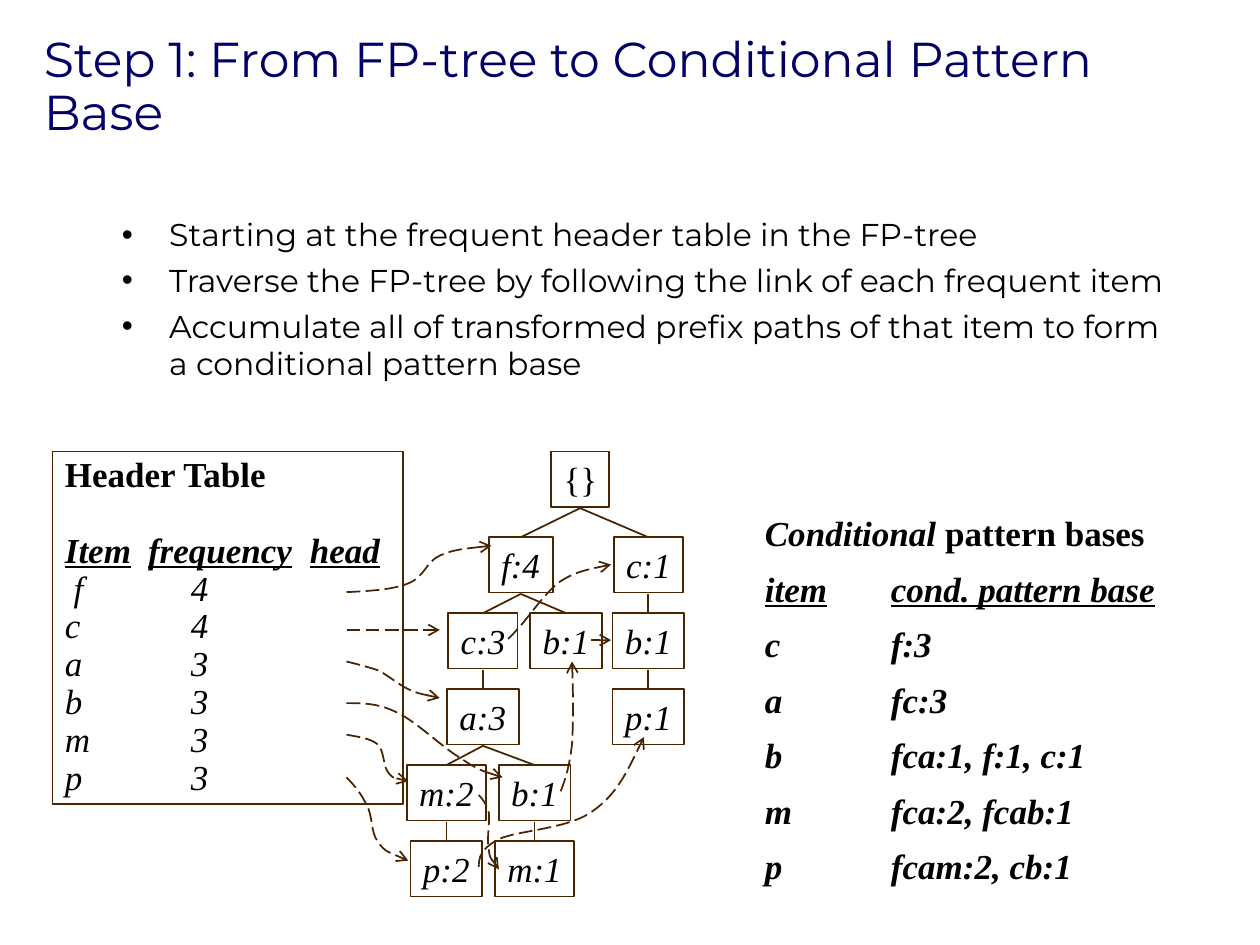
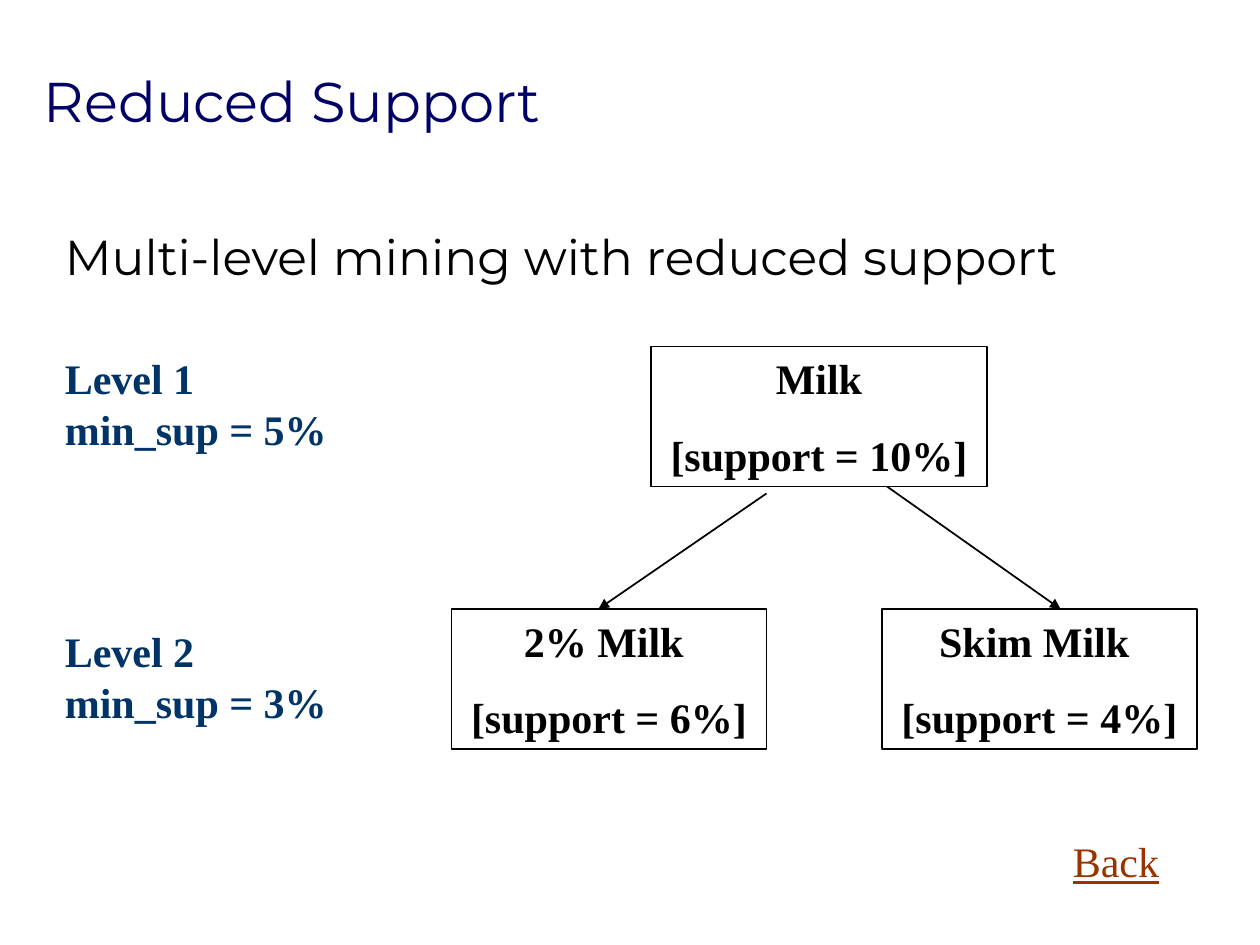
import pptx
import pptx.dml.color
import pptx.enum.dml
import pptx.enum.shapes
import pptx.enum.text
import pptx.oxml.xmlchemy
import pptx.util

Pt = pptx.util.Pt
RGBColor = pptx.dml.color.RGBColor
ALIGN = pptx.enum.text.PP_ALIGN
ANCHOR = pptx.enum.text.MSO_ANCHOR
OxmlElement = pptx.oxml.xmlchemy.OxmlElement

NAVY = RGBColor(0x00, 0x00, 0x66)
BLACK = RGBColor(0x00, 0x00, 0x00)
WHITE = RGBColor(0xFF, 0xFF, 0xFF)
BROWN = RGBColor(0x48, 0x24, 0x00)
LEVEL_BLUE = RGBColor(0x00, 0x33, 0x66)
LINK_RUST = RGBColor(0x99, 0x33, 0x00)

SANS = "Montserrat"
SERIF = "Times New Roman"
TREE_TEXT = {"name": SERIF, "size": Pt(20), "italic": True}
LEVEL_TEXT = {"name": SERIF, "size": Pt(24), "bold": True}

COLUMN_TAB = 72
NODE_HEIGHT = 31.7
NODE_WIDTHS = {"{": 33, "f": 36.7, "c": 39.6, "a": 41, "b": 41, "p": 41, "m": 45.4}
ROW_TOPS = [0] + [49 + 43.4 * row for row in range(5)]

TREE_NODES = {
    "root": ("{}", 133.5, 0), "f": ("f:4", 99.6, 1), "c right": ("c:1", 172.5, 1),
    "c": ("c:3", 78, 2), "b": ("b:1", 125.5, 2), "b right": ("b:1", 172.5, 2),
    "a": ("a:3", 78, 3), "p right": ("p:1", 172.5, 3),
    "m": ("m:2", 57.1, 4), "b low": ("b:1", 107.5, 4),
    "p": ("p:2", 57.1, 5), "m low": ("m:1", 107.5, 5),
}
TREE_EDGES = [
    ("root", "f"), ("root", "c right"), ("c right", "b right"), ("b right", "p right"),
    ("f", "c"), ("f", "b"), ("c", "a"), ("a", "m"), ("a", "b low"),
    ("m", "p"), ("b low", "m low"),
]
STRAIGHT_LINKS = [((0, 102), (53.3, 102)), ((139.7, 107.8), (151.2, 107.8))]
CURVED_LINKS = [
    [(0, 80.4), (13.7, 79.7), (26.6, 79), (35.3, 75.4), (44.6, 71.8), (45.4, 63.1),
     (53.3, 59.5), (61.2, 55.9), (72, 55.2), (82.8, 53.8)],
    [(92.2, 107), (92.2, 107), (92.9, 107), (97.9, 101.3), (103, 96.2), (113, 81.1),
     (121.7, 74.6), (130.3, 68.9), (141.1, 66.7), (151.2, 64.6)],
    [(0, 120), (5.8, 121.4), (11.5, 122.9), (18, 125), (23.8, 127.9), (29.5, 133),
     (35.3, 135.8), (41.8, 138.7), (47.5, 139.4), (53.3, 140.9)],
    [(0, 143.8), (9.4, 143.8), (18.7, 143.8), (29.5, 149.5), (40.3, 154.6), (55.4, 169.7),
     (65.5, 175.4), (74.9, 181.9), (82.1, 184.1), (89.3, 186.2)],
    [(122.4, 194.2), (125.3, 187), (127.4, 179.8), (128.9, 167.5), (129.6, 155.3),
     (129.6, 138), (128.9, 120)],
    [(0, 161.8), (7.2, 163.2), (13.7, 163.9), (18, 167.5), (21.6, 171.1), (20.9, 179.8),
     (23.8, 183.4), (26.6, 187), (31, 187.7), (35.3, 188.4)],
    [(75.6, 196.3), (77.8, 198.5), (79.9, 201.4), (81.4, 206.4), (82.1, 212.2), (79.9, 223),
     (81.4, 228), (82.1, 233), (85, 235.9), (87.1, 238.8)],
    [(0, 186.2), (4.3, 190.6), (8.6, 195.6), (11.5, 202.1), (15.1, 207.8), (13.7, 217.9),
     (18, 223), (21.6, 228.7), (28.8, 230.9), (35.3, 233.8)],
    [(75.6, 237.4), (75.6, 232.3), (76.3, 227.3), (87.1, 221.5), (97.9, 216.5),
     (126.7, 215.8), (140.4, 205.7), (154.1, 196.3), (162, 179.8), (169.9, 163.2)],
]


def set_values(target, values):
    for name, value in values.items():
        setattr(target, name, value)


def write_text(shape, paragraphs, font, color=BLACK, layout=None, wrap=True, anchor=ANCHOR.TOP):
    frame = shape.text_frame
    set_values(frame, {"word_wrap": wrap, "vertical_anchor": anchor})
    for index, runs in enumerate(paragraphs):
        paragraph = frame.add_paragraph() if index else frame.paragraphs[0]
        set_values(paragraph, {"alignment": ALIGN.LEFT, **(layout or {})})
        for text, changes in [(runs, {})] if isinstance(runs, str) else runs:
            run = paragraph.add_run()
            run.text = text
            set_values(run.font, {**font, **changes})
            run.font.color.rgb = color
    return frame.paragraphs


def add_text(slide, box, paragraphs, font, **options):
    shape = slide.shapes.add_textbox(*map(Pt, box))
    return write_text(shape, paragraphs, font, **options)


def add_box(slide, box, line_color, line_width, fill=None):
    shape = slide.shapes.add_shape(pptx.enum.shapes.MSO_SHAPE.RECTANGLE, *map(Pt, box))
    shape.shadow.inherit = False
    if fill is None:
        shape.fill.background()
    else:
        shape.fill.solid()
        shape.fill.fore_color.rgb = fill
    shape.line.color.rgb = line_color
    shape.line.width = Pt(line_width)
    return shape


def style_line(line, color, head=None, dash=None):
    line.color.rgb = color
    line.width = Pt(1)
    if dash:
        line.dash_style = dash
    if head:
        tail = OxmlElement("a:tailEnd")
        tail.set("type", head)
        line._get_or_add_ln().append(tail)


def add_line(slide, start, end, color, head=None, dash=None):
    connector = slide.shapes.add_connector(
        pptx.enum.shapes.MSO_CONNECTOR.STRAIGHT, *map(Pt, (*start, *end)))
    connector.element.spPr.append(OxmlElement("a:effectLst"))
    style_line(connector.line, color, head, dash)


def add_curve(slide, points, color, head, dash):
    start, *rest = [(Pt(x), Pt(y)) for x, y in points]
    builder = slide.shapes.build_freeform(*start)
    builder.add_line_segments(rest, close=False)
    shape = builder.convert_to_shape()
    segments = shape.element.xpath(".//a:lnTo")
    for first in range(0, len(segments), 3):
        curve = OxmlElement("a:cubicBezTo")
        segments[first].addprevious(curve)
        for segment in segments[first:first + 3]:
            curve.append(segment[0])
            segment.getparent().remove(segment)
    shape.shadow.inherit = False
    shape.fill.background()
    style_line(shape.line, color, head, dash)


def set_bullet(paragraph, indent):
    properties = paragraph._p.get_or_add_pPr()
    properties.set("marL", str(Pt(indent)))
    properties.set("indent", str(-Pt(indent)))
    bullet_font = OxmlElement("a:buFont")
    bullet_font.set("typeface", "Arial")
    bullet = OxmlElement("a:buChar")
    bullet.set("char", "•")
    properties.extend([bullet_font, bullet])


def set_tabs(paragraph, *positions):
    tabs = OxmlElement("a:tabLst")
    for position in positions:
        tab = OxmlElement("a:tab")
        tab.set("pos", str(Pt(position)))
        tab.set("algn", "l")
        tabs.append(tab)
    paragraph._p.get_or_add_pPr().append(tabs)


def add_title(slide, box, text, size, line_spacing=1.0):
    add_text(slide, box, [text], {"name": SANS, "size": Pt(size)}, color=NAVY,
             layout={"line_spacing": line_spacing}, anchor=ANCHOR.BOTTOM)


def add_steps(slide, box):
    steps = [
        "Starting at the frequent header table in the FP-tree",
        "Traverse the FP-tree by following the link of each frequent item",
        "Accumulate all of transformed prefix paths of that item to form a conditional pattern base",
    ]
    for paragraph in add_text(slide, box, steps, {"name": SANS, "size": Pt(18)},
                              layout={"space_before": Pt(4.5)}):
        set_bullet(paragraph, 27)


def add_pattern_bases(slide, box):
    bases = {"c": "f:3", "a": "fc:3", "b": "fca:1, f:1, c:1",
             "m": "fca:2, fcab:1", "p": "fcam:2, cb:1"}
    lines = [
        [("Conditional ", {}), ("pattern bases", {"italic": False})],
        [("item\tcond. pattern base", {"underline": True})],
        *[f"{item}\t{base}" for item, base in bases.items()],
    ]
    heading, *rows = add_text(slide, box, lines, {**TREE_TEXT, "bold": True},
                              layout={"space_before": Pt(12.5), "line_spacing": 0.8})
    heading.line_spacing = 1.0
    for row in rows:
        set_tabs(row, COLUMN_TAB)


def add_header_table(slide, box):
    counts = {" f": 4, "c": 4, "a": 3, "b": 3, "m": 3, "p": 3}
    lines = [
        [("Header Table", {"bold": True, "italic": False})],
        [("Item\tfrequency\thead", {"bold": True, "underline": True})],
        *[f"{item}\t{count}" for item, count in counts.items()],
    ]
    _, columns, *rows = write_text(add_box(slide, box, BROWN, 1), lines, TREE_TEXT,
                                   layout={"line_spacing": 0.9})
    columns.space_before = Pt(21.5)
    set_tabs(columns, 47.5, 140)
    for row in rows:
        set_tabs(row, COLUMN_TAB)


def add_tree(slide, box):
    left, top = box[:2]
    for text, center, row in TREE_NODES.values():
        width = NODE_WIDTHS[text[0]]
        node = add_box(slide, (left + center - width / 2, top + ROW_TOPS[row], width, NODE_HEIGHT),
                       BROWN, 1)
        write_text(node, [text], {**TREE_TEXT, "italic": text != "{}"}, wrap=False)
    for parent, child in TREE_EDGES:
        _, parent_center, parent_row = TREE_NODES[parent]
        _, child_center, child_row = TREE_NODES[child]
        add_line(slide, (left + parent_center, top + ROW_TOPS[parent_row] + NODE_HEIGHT + 0.7),
                 (left + child_center, top + ROW_TOPS[child_row]), BROWN)


def add_node_links(slide, box):
    left, top = box[:2]
    style = (BROWN, "arrow", pptx.enum.dml.MSO_LINE.LONG_DASH)
    for points in STRAIGHT_LINKS:
        start, end = [(left + x, top + y) for x, y in points]
        add_line(slide, start, end, *style)
    for points in CURVED_LINKS:
        add_curve(slide, [(left + x, top + y) for x, y in points], *style)


def add_level(slide, box, level, support):
    add_text(slide, box, [f"Level {level}", f"min_sup = {support}%"], LEVEL_TEXT,
             color=LEVEL_BLUE, wrap=False)


def add_item(slide, box, name, support):
    write_text(add_box(slide, box, BLACK, 0.75, WHITE), [name, f"[support = {support}%]"],
               LEVEL_TEXT, layout={"alignment": ALIGN.CENTER, "space_before": Pt(15)})


def add_support_tree(slide, box):
    left, top = box[:2]
    add_item(slide, (left, top + 150, 180, 80), "2% Milk ", 6)
    add_item(slide, (left + 246, top + 150, 180, 80), "Skim Milk ", 4)
    for start, end in [((180, 84), (84, 150)), ((246, 78), (348, 150))]:
        add_line(slide, (left + start[0], top + start[1]), (left + end[0], top + end[1]),
                 BLACK, "triangle")
    add_item(slide, (left + 114, top, 192, 80), "Milk", 10)


def build_pattern_base_slide(slide):
    tree_box = (198, 258, 195, 255)
    add_title(slide, (18, 0, 678, 84), "Step 1: From FP-tree to Conditional Pattern Base", 28, 0.9)
    add_steps(slide, (62.6, 119.5, 622, 114))
    add_pattern_bases(slide, (430, 288.7, 262, 222))
    add_tree(slide, tree_box)
    add_header_table(slide, (30, 258, 200.2, 201.6))
    add_node_links(slide, tree_box)


def build_reduced_support_slide(slide):
    add_title(slide, (18, 38, 678, 42), "Reduced Support", 32)
    add_text(slide, (30, 126, 660, 78), ["Multi-level mining with reduced support"],
             {"name": SANS, "size": Pt(28)}, layout={"space_before": Pt(7)})
    add_level(slide, (30, 198, 164, 65), 1, 5)
    add_level(slide, (30, 354, 164, 65), 2, 3)
    add_support_tree(slide, (258, 198, 426, 230))
    add_text(slide, (606, 474, 72, 36), ["Back"],
             {"name": SERIF, "size": Pt(24), "underline": True}, color=LINK_RUST)


def main():
    presentation = pptx.Presentation()
    set_values(presentation, {"slide_width": Pt(720), "slide_height": Pt(540)})
    for build in (build_pattern_base_slide, build_reduced_support_slide):
        build(presentation.slides.add_slide(presentation.slide_layouts[6]))
    presentation.save("out.pptx")


if __name__ == "__main__":
    main()
